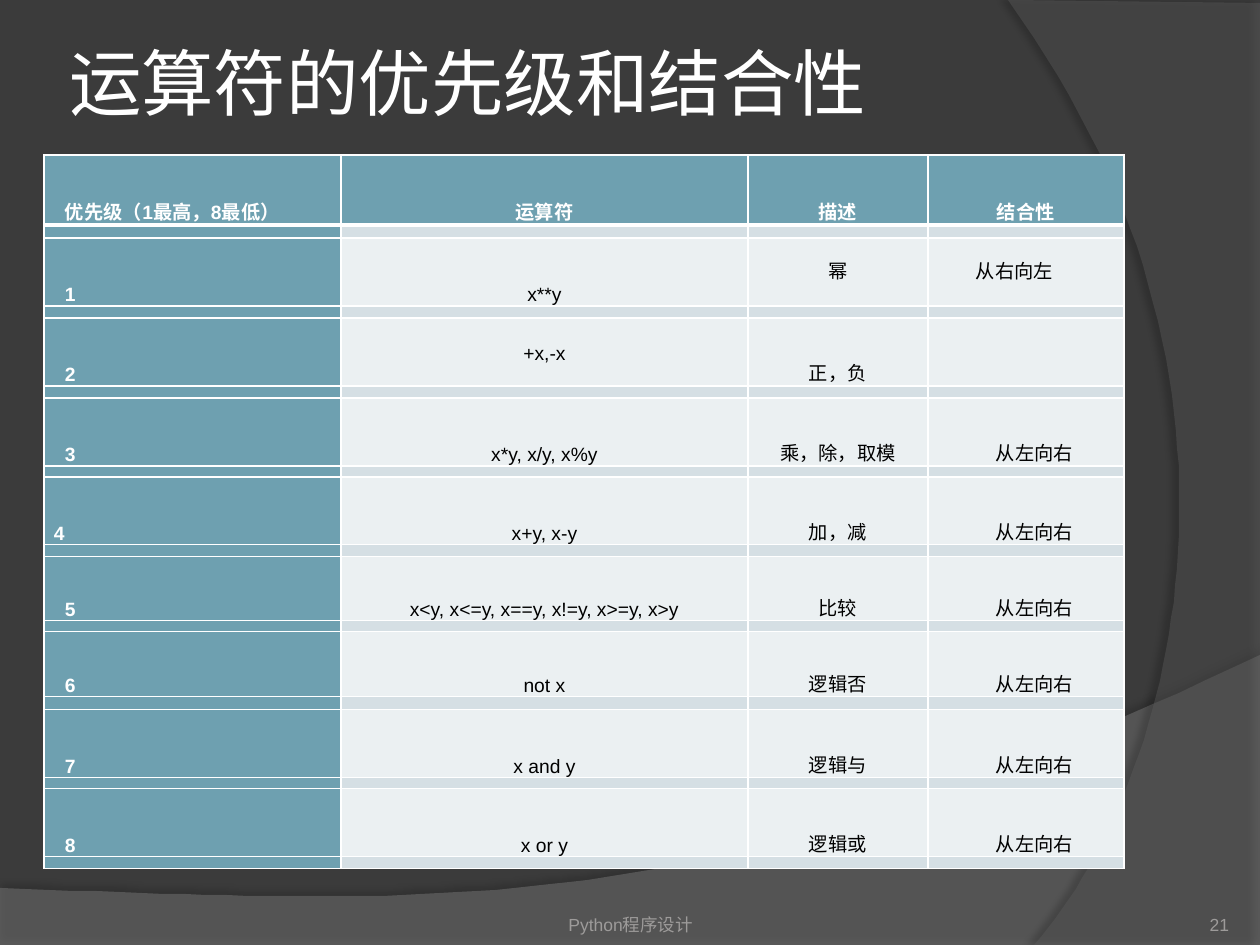
from lxml import etree
from pptx import Presentation
from pptx.dml.color import RGBColor
from pptx.enum.text import MSO_ANCHOR, PP_ALIGN
from pptx.oxml.ns import qn
from pptx.util import Pt

TOP, BOTTOM = MSO_ANCHOR.TOP, MSO_ANCHOR.BOTTOM
LEFT, CENTER, RIGHT = PP_ALIGN.LEFT, PP_ALIGN.CENTER, PP_ALIGN.RIGHT
PX = 914400 / 126
COLORS = {
    "background": "3B3B3B", "wave": "7F7F7F", "arc": "5E5E5E",
    "white": "FFFFFF", "black": "000000", "footer": "9D9B9A",
    "teal": "6EA0B0", "band": "D5DFE4", "pale": "EBF0F2",
}


def px(value):
    return round(value * PX)


def write(frame, text, size, color, align, font="Arial", bold=False):
    frame.word_wrap = True
    para = frame.paragraphs[0]
    para.text = text
    para.alignment = align
    for span in para.runs:
        span.font.size = Pt(size)
        span.font.name = font
        span.font.bold = bold
        span.font.color.rgb = RGBColor.from_string(COLORS[color])
    return para


deck = Presentation()
deck.slide_width, deck.slide_height = px(1260), px(945)
page = deck.slides.add_slide(deck.slide_layouts[6])
page.background.fill.solid()
page.background.fill.fore_color.rgb = RGBColor.from_string(COLORS["background"])

SWEEPS = [
    ("wave", 45, [(0, 945), (1260, 945)],
     [(1260, 655), (704, 919), (493, 906), (0, 888)], 35, 3.5, 270),
    ("arc", 40, [(1260, 3), (1260, 945)],
     [(1034, 945), (1178, 780), (1283, 378), (1008, 0)], 45, 4, 180),
]
STEPS = 60
for color, opacity, corners, curve, shade, distance, angle in SWEEPS:
    points = list(corners)
    for step in range(STEPS + 1):
        t = step / STEPS
        weights = ((1 - t) ** 3, 3 * t * (1 - t) ** 2, 3 * t * t * (1 - t), t ** 3)
        points.append(tuple(sum(w * point[axis] for w, point in zip(weights, curve))
                            for axis in (0, 1)))
    builder = page.shapes.build_freeform(*points[0], scale=PX)
    builder.add_line_segments(points[1:], close=True)
    sweep = builder.convert_to_shape()
    sweep.fill.solid()
    sweep.fill.fore_color.rgb = RGBColor.from_string(COLORS[color])
    sweep.line.fill.background()
    sweep.shadow.inherit = False
    fill_color = sweep._element.spPr.find(qn("a:solidFill"))[0]
    etree.SubElement(fill_color, qn("a:alpha"), val=str(opacity * 1000))
    effects = sweep._element.spPr.find(qn("a:effectLst"))
    shadow = etree.SubElement(effects, qn("a:outerShdw"), blurRad=str(Pt(4)),
                              dist=str(Pt(distance)), dir=str(angle * 60000))
    shadow_color = etree.SubElement(shadow, qn("a:srgbClr"), val=COLORS["black"])
    etree.SubElement(shadow_color, qn("a:alpha"), val=str(shade * 1000))

TEXTS = [
    ("运算符的优先级和结合性", (63, 38, 1029, 157), 41.4, "white", LEFT, "Lato", TOP, 6),
    ("Python程序设计", (431, 885, 399, 50), 10, "footer", CENTER, "Arial", BOTTOM, 0),
    ("21", (1124, 885, 105, 50), 10, "footer", RIGHT, "Arial", BOTTOM, 0),
]
for text, place, size, color, align, font, anchor, inset in TEXTS:
    box = page.shapes.add_textbox(*map(px, place))
    frame = box.text_frame
    frame.margin_left = frame.margin_right = px(inset)
    frame.margin_top = frame.margin_bottom = 0
    frame.vertical_anchor = anchor
    write(frame, text, size, color, align, font)

HEADERS = ("优先级（1最高，8最低）", "运算符", "描述", "结合性")
OPERATORS = [
    ("1", "x**y", "幂", "从右向左"),
    ("2", "+x,-x", "正，负", ""),
    ("3", "x*y, x/y, x%y", "乘，除，取模", "从左向右"),
    ("4", "x+y, x-y", "加，减", "从左向右"),
    ("5", "x<y, x<=y, x==y, x!=y, x>=y, x>y", "比较", "从左向右"),
    ("6", "not x", "逻辑否", "从左向右"),
    ("7", "x and y", "逻辑与", "从左向右"),
    ("8", "x or y", "逻辑或", "从左向右"),
]
rows = []
for entry in [HEADERS] + OPERATORS:
    rows += [entry, ("",) * 4]
COLUMN_WIDTHS = (297, 407, 180, 196)
ROW_HEIGHTS = (70, 13, 68, 12, 68, 12, 68, 11, 68, 12, 64, 11, 65, 13, 68, 11, 68, 12)
LEFT_INSETS = (21, 0, 0, 17)
SPECIAL_LEFT = {"4": 10, "从右向左": 48, "结合性": 0}
RAISED = {"幂": 22, "从右向左": 22, "+x,-x": 21}

table = page.shapes.add_table(len(rows), 4, px(44), px(155),
                              px(sum(COLUMN_WIDTHS)), px(sum(ROW_HEIGHTS))).table
table.horz_banding = False
for column, width in zip(table.columns, COLUMN_WIDTHS):
    column.width = px(width)
for r, (texts, height) in enumerate(zip(rows, ROW_HEIGHTS)):
    table.rows[r].height = px(height)
    for c, text in enumerate(texts):
        cell = table.cell(r, c)
        cell.margin_left = px(SPECIAL_LEFT.get(text, LEFT_INSETS[c]))
        cell.margin_right = cell.margin_top = 0
        cell.margin_bottom = px(RAISED.get(text, 0))
        cell.vertical_anchor = BOTTOM
        strong = r == 0 or c == 0
        align = LEFT if c == 0 or text == "从右向左" else CENTER
        para = write(cell.text_frame, text, 11, "white" if strong else "black",
                     align, bold=strong)
        if r == 0:
            para.line_spacing = Pt(13.3)
        if not text:
            etree.SubElement(para._p, qn("a:endParaRPr"), sz="100")
        properties = cell._tc.get_or_add_tcPr()
        for side in "LRTB":
            thick = (r, side) in ((0, "B"), (1, "T"))
            border = etree.SubElement(properties, qn(f"a:ln{side}"),
                                      w=str(Pt(3 if thick else 1)))
            paint = etree.SubElement(border, qn("a:solidFill"))
            etree.SubElement(paint, qn("a:srgbClr"), val=COLORS["white"])
        cell.fill.solid()
        shade = "teal" if strong else "band" if r % 2 else "pale"
        cell.fill.fore_color.rgb = RGBColor.from_string(COLORS[shade])

deck.save("out.pptx")
